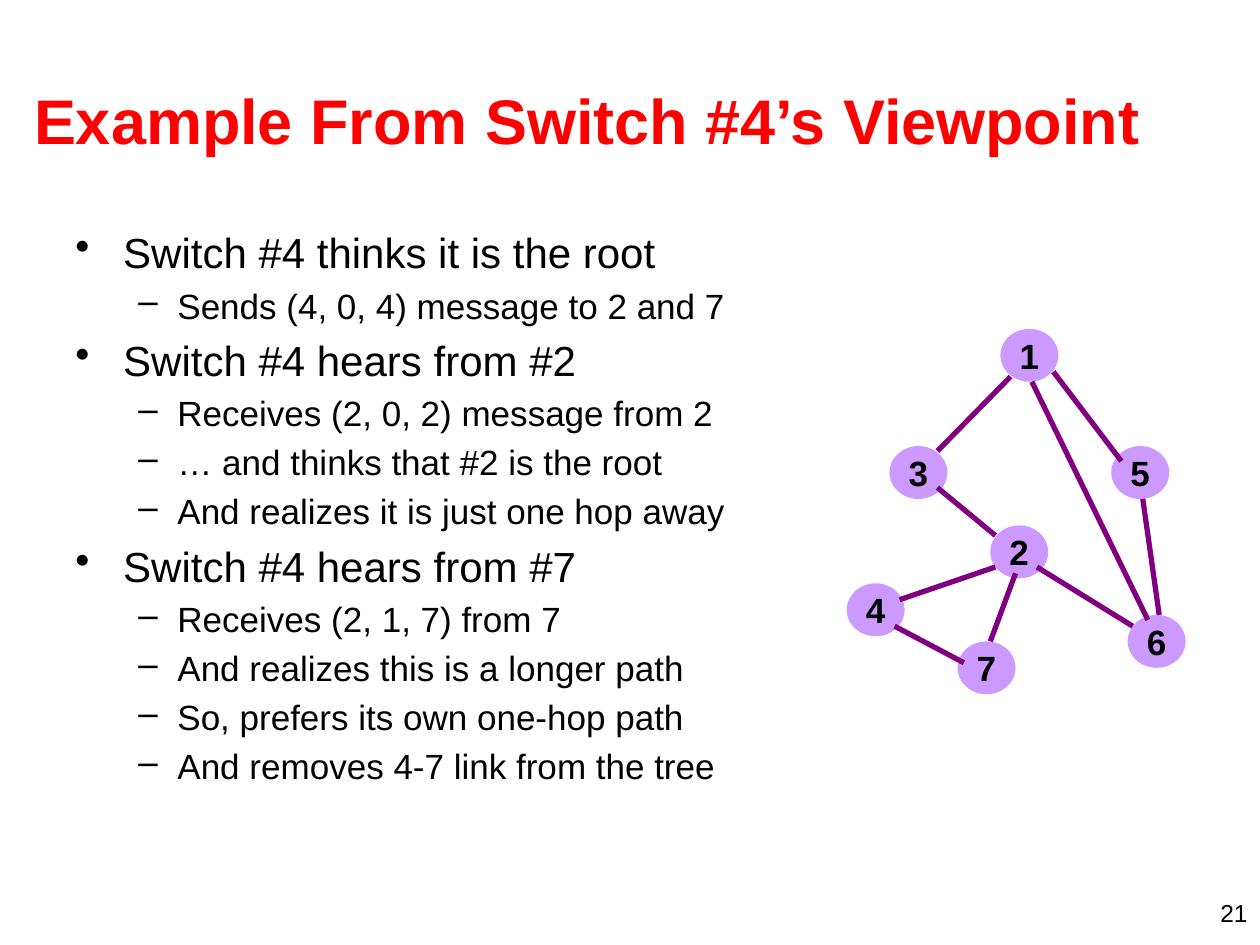
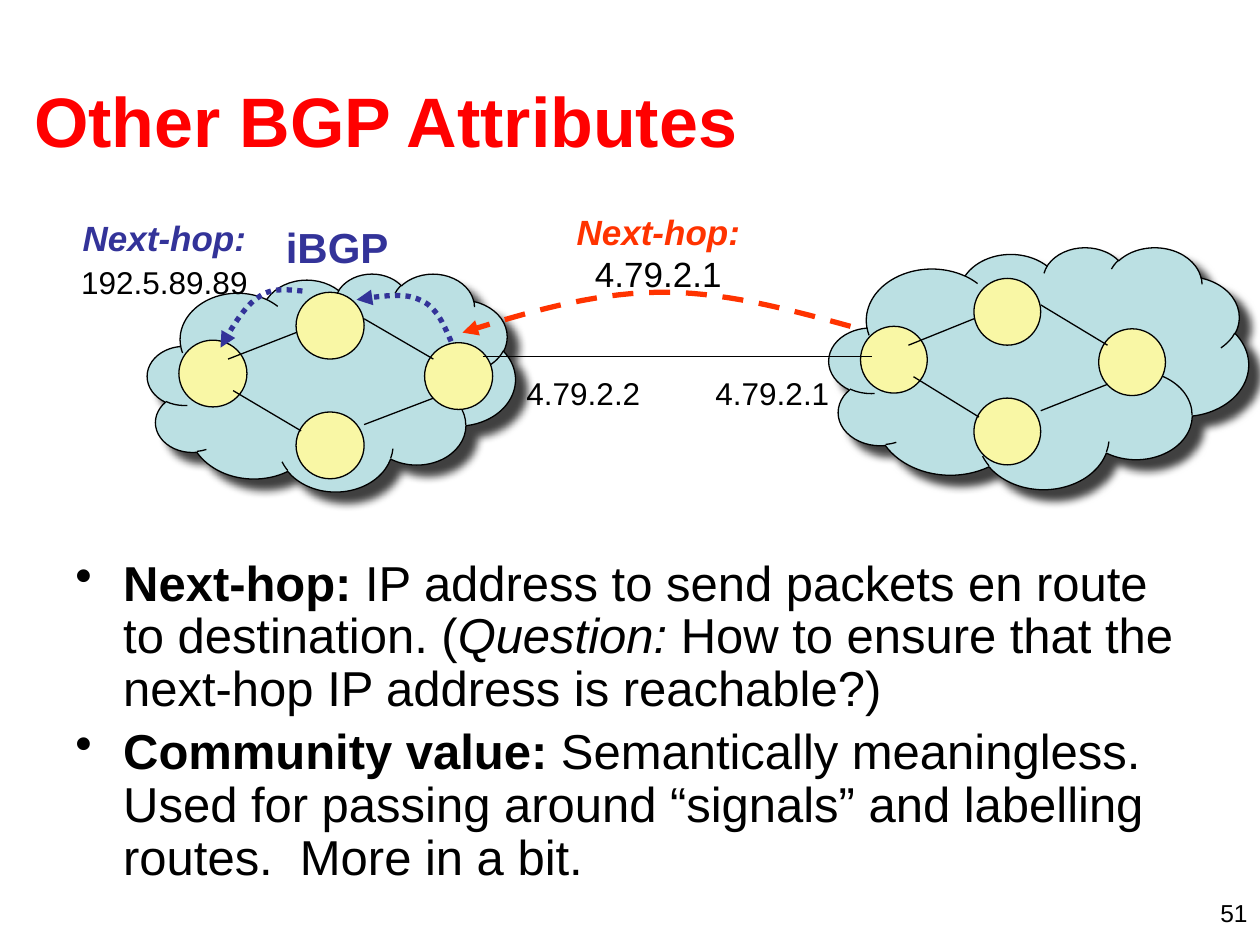
from lxml.etree import SubElement
from pptx import Presentation
from pptx.dml.color import RGBColor
from pptx.enum.dml import MSO_LINE
from pptx.enum.shapes import MSO_CONNECTOR, MSO_SHAPE
from pptx.enum.text import MSO_ANCHOR, PP_ALIGN
from pptx.oxml.ns import qn
from pptx.util import Pt

PX = 9144  # EMU per px, 100 px to the inch
FONT = "Arial"
BLACK = RGBColor(0x00, 0x00, 0x00)
TITLE_RED = RGBColor(0xFF, 0x00, 0x00)
SWITCH_LILAC = RGBColor(0xCC, 0x99, 0xFF)
LINK_PURPLE = RGBColor(0x80, 0x00, 0x80)
CLOUD_BLUE = RGBColor(0xBB, 0xE0, 0xE3)
ROUTER_YELLOW = RGBColor(0xF9, 0xF7, 0xA5)
EBGP_ORANGE = RGBColor(0xFF, 0x33, 0x00)
IBGP_BLUE = RGBColor(0x33, 0x33, 0x99)
BULLETS = [("•", 38, -38), ("–", 81, -31)]  # character, margin, indent by level


def add_text(slide, box, paragraphs, align=PP_ALIGN.LEFT, leading=1.2):
    """Add a text box; a paragraph is (level or None, size, [(text, font settings)])."""
    frame = slide.shapes.add_textbox(*[v * PX for v in box]).text_frame
    frame.word_wrap = True
    for i, (level, size, runs) in enumerate(paragraphs):
        paragraph = frame.add_paragraph() if i else frame.paragraphs[0]
        paragraph.alignment = align
        paragraph.line_spacing = Pt(round(size * leading, 1))
        if i:
            paragraph.space_before = Pt(size * 0.2)
        if level is not None:
            mark, margin, indent = BULLETS[level]
            paragraph.level = level
            props = paragraph._p.get_or_add_pPr()
            props.set("marL", str(margin * PX))
            props.set("indent", str(indent * PX))
            SubElement(props, qn("a:buChar"), char=mark)
        paragraph.font.name = FONT
        paragraph.font.size = Pt(size)
        paragraph.font.color.rgb = BLACK
        for text, settings in runs:
            run = paragraph.add_run()
            run.text = text
            for key, value in settings.items():
                if key == "color":
                    run.font.color.rgb = value
                else:
                    setattr(run.font, key, value)


def add_link(slide, ends, color, width):
    link = slide.shapes.add_connector(MSO_CONNECTOR.STRAIGHT, *[v * PX for v in ends])
    link.line.color.rgb = color
    link.line.width = Pt(width)
    SubElement(link._element.spPr, qn("a:effectLst"))


prs = Presentation()
prs.slide_width, prs.slide_height = 1000 * PX, 750 * PX

# Shared title and slide number
slides = []
for title_text, title_size, number in [
    ("Example From Switch #4’s Viewpoint", 36, "21"),
    ("Other BGP Attributes", 40, "51"),
]:
    slide = prs.slides.add_slide(prs.slide_layouts[5])
    title = slide.shapes.title
    title.left, title.top, title.width, title.height = [v * PX for v in (17, 32, 958, 125)]
    title.text_frame.text = title_text
    title.text_frame.vertical_anchor = MSO_ANCHOR.MIDDLE
    heading = title.text_frame.paragraphs[0]
    heading.alignment = PP_ALIGN.LEFT
    heading.font.name = FONT
    heading.font.size = Pt(title_size)
    heading.font.bold = True
    heading.font.color.rgb = TITLE_RED
    add_text(slide, (767, 708, 233, 25), [(None, 14, [(number, {})])], PP_ALIGN.RIGHT)
    slides.append(slide)
switch_slide, bgp_slide = slides

# Slide 1: what switch #4 learns
lessons = [
    (0, "Switch #4 thinks it is the root"),
    (1, "Sends (4, 0, 4) message to 2 and 7"),
    (0, "Switch #4 hears from #2"),
    (1, "Receives (2, 0, 2) message from 2"),
    (1, "… and thinks that #2 is the root"),
    (1, "And realizes it is just one hop away"),
    (0, "Switch #4 hears from #7"),
    (1, "Receives (2, 1, 7) from 7"),
    (1, "And realizes this is a longer path"),
    (1, "So, prefers its own one-hop path"),
    (1, "And removes 4-7 link from the tree"),
]
add_text(switch_slide, (50, 175, 593, 495),
         [(level, (24, 20)[level], [(text, {})]) for level, text in lessons])

switches = {"1": (794, 261), "3": (706, 354), "5": (882, 354), "2": (786, 417),
            "6": (895, 488), "4": (672, 463), "7": (760, 509)}
for label, (left, top) in switches.items():
    switch = switch_slide.shapes.add_shape(
        MSO_SHAPE.OVAL, left * PX, top * PX, 46 * PX, 42 * PX)
    switch.shadow.inherit = False
    switch.fill.solid()
    switch.fill.fore_color.rgb = SWITCH_LILAC
    switch.line.fill.background()
    frame = switch.text_frame
    frame.word_wrap = False
    frame.vertical_anchor = MSO_ANCHOR.MIDDLE
    frame.text = label
    name = frame.paragraphs[0]
    name.alignment = PP_ALIGN.CENTER
    name.font.name = FONT
    name.font.size = Pt(20)
    name.font.bold = True
    name.font.color.rgb = BLACK

for ends in [
    (802, 299, 744, 358), (836, 295, 890, 366), (744, 387, 790, 425),
    (823, 450, 899, 497), (907, 396, 920, 488), (819, 303, 911, 492),
    (714, 476, 790, 450), (786, 509, 806, 455), (765, 526, 710, 497),
]:
    add_link(switch_slide, ends, LINK_PURPLE, 3)

# Slide 2: explanation
bold, italic = {"bold": True}, {"italic": True}
add_text(bgp_slide, (50, 438, 900, 295), [
    (0, 28, [("Next-hop: ", bold),
             ("IP address to send packets en route to destination. (", {}),
             ("Question: ", italic),
             ("How to ensure that the next-hop IP address is reachable?)", {})]),
    (0, 28, [("Community value:", bold),
             (" Semantically meaningless.  Used for passing around “signals” "
              "and labelling routes.  More in a bit.", {})]),
], leading=1.08)

# Two networks: cloud box, router grid origin, horizontal stretch, router width
router_places = [(93, 0), (93, 95), (195, 40), (0, 38)]
router_links = [(39, 53, 93, 32), (147, 105, 202, 84), (43, 78, 97, 110), (147, 21, 202, 53)]
for cloud_box, (left, top), stretch, router_width in [
    ((117, 217, 292, 173), (142, 232), 1, 54),
    ((658, 196, 333, 192), (683, 221), 0.97, 53),
]:
    cloud = bgp_slide.shapes.add_shape(MSO_SHAPE.CLOUD, *[v * PX for v in cloud_box])
    cloud.fill.solid()
    cloud.fill.fore_color.rgb = CLOUD_BLUE
    cloud.line.color.rgb = BLACK
    cloud.line.width = Pt(0.75)
    cloud.shadow.inherit = False
    shadow = SubElement(cloud._element.spPr.find(qn("a:effectLst")), qn("a:outerShdw"),
                        blurRad=str(Pt(5)), dist=str(Pt(8.5)), dir="2700000",
                        algn="ctr", rotWithShape="0")
    shade = SubElement(shadow, qn("a:srgbClr"), val=str(BLACK))
    SubElement(shade, qn("a:alpha"), val="75000")

    for x, y in router_places:
        router = bgp_slide.shapes.add_shape(
            MSO_SHAPE.OVAL, (left + round(x * stretch)) * PX, (top + y) * PX,
            router_width * PX, 53 * PX)
        router.shadow.inherit = False
        router.fill.solid()
        router.fill.fore_color.rgb = ROUTER_YELLOW
        router.line.color.rgb = BLACK
        router.line.width = Pt(0.75)
    for x1, y1, x2, y2 in router_links:
        add_link(bgp_slide, (left + round(x1 * stretch), top + y1,
                             left + round(x2 * stretch), top + y2), BLACK, 0.75)
add_link(bgp_slide, (383, 283, 692, 283), BLACK, 0.75)

# Announcement arrows: start, then two cubic Bezier pieces of three points each
STEPS = 16
for color, dash, curve in [
    (EBGP_ORANGE, MSO_LINE.DASH,
     [(675, 259), (624, 245), (572, 231), (521, 232), (469, 233), (418, 248), (367, 264)]),
    (IBGP_BLUE, MSO_LINE.ROUND_DOT,
     [(358, 271), (352, 257), (346, 243), (333, 238), (321, 232), (302, 235), (283, 238)]),
    (IBGP_BLUE, MSO_LINE.ROUND_DOT,
     [(240, 231), (228, 230), (215, 228), (205, 236), (194, 243), (184, 260), (175, 276)]),
]:
    points = []
    for piece in (curve[:4], curve[3:]):
        for step in range(1, STEPS + 1):
            t = step / STEPS
            weights = ((1 - t) ** 3, 3 * t * (1 - t) ** 2, 3 * t * t * (1 - t), t ** 3)
            points.append(tuple(sum(w * p[axis] for w, p in zip(weights, piece)) * PX
                                for axis in (0, 1)))
    builder = bgp_slide.shapes.build_freeform(curve[0][0] * PX, curve[0][1] * PX)
    builder.add_line_segments(points, close=False)
    arrow = builder.convert_to_shape()
    arrow.shadow.inherit = False
    arrow.fill.background()
    arrow.line.color.rgb = color
    arrow.line.width = Pt(3)
    arrow.line.dash_style = dash
    SubElement(arrow._element.spPr.find(qn("a:ln")), qn("a:tailEnd"), type="triangle")

# Labels
for box, color, address, address_size in [
    ((425, 162, 195, 77), EBGP_ORANGE, "4.79.2.1", 20),
    ((33, 167, 195, 73), IBGP_BLUE, "192.5.89.89", 18),
]:
    hop = {"bold": True, "italic": True, "color": color}
    add_text(bgp_slide, box, [(None, 20, [("Next-hop: ", hop),
                                          (address, {"size": Pt(address_size)})])],
             PP_ALIGN.CENTER)
add_text(bgp_slide, (217, 171, 158, 50),
         [(None, 24, [("iBGP", {"bold": True, "color": IBGP_BLUE})])])
for left, address in [(558, "4.79.2.1"), (408, "4.79.2.2")]:
    add_text(bgp_slide, (left, 292, 125, 40), [(None, 18, [(address, {})])])

prs.save("out.pptx")
